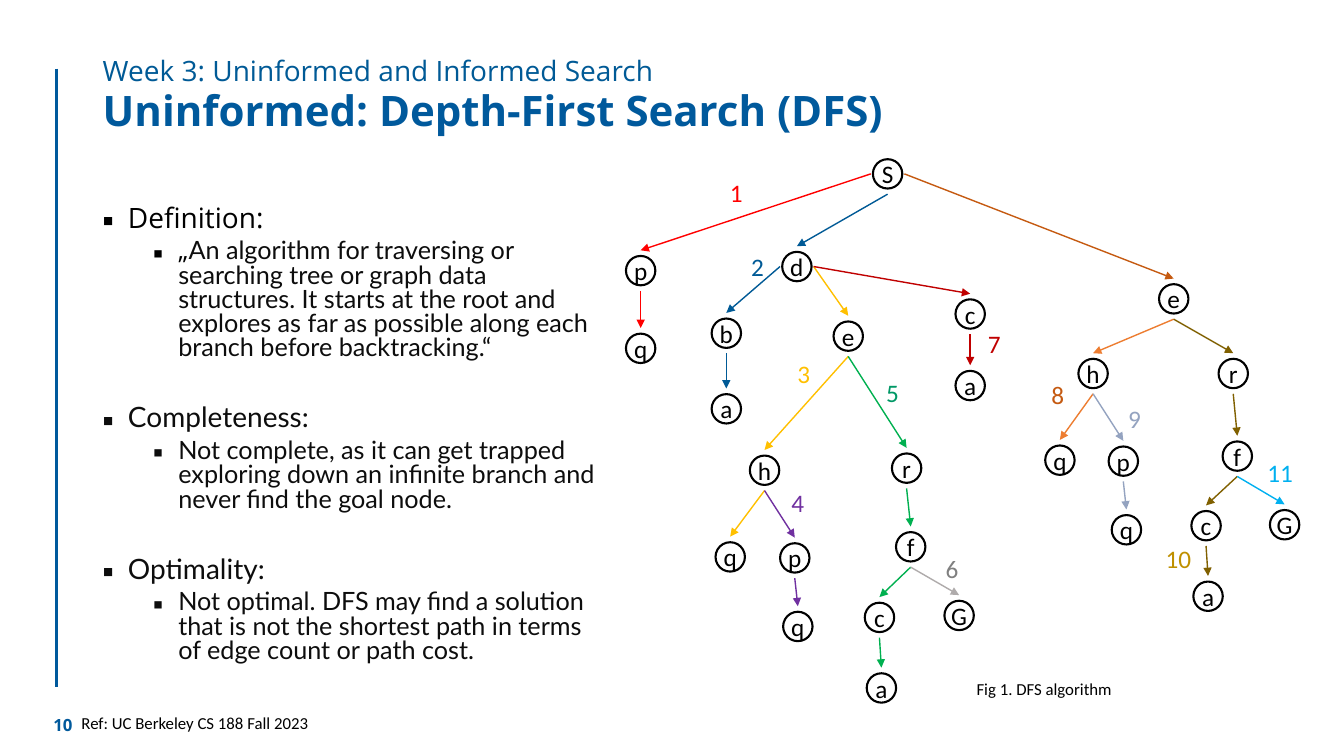
from lxml.etree import SubElement
from pptx import Presentation
from pptx.dml.color import RGBColor
from pptx.enum.shapes import MSO_CONNECTOR, MSO_SHAPE
from pptx.enum.text import MSO_ANCHOR, MSO_AUTO_SIZE, PP_ALIGN
from pptx.oxml.ns import qn
from pptx.util import Pt

COLOURS = {
    "heading": "00599C", "blue": "005A96", "black": "000000", "ink": "0D0D0D",
    "red": "FF0000", "rust": "C55A11", "yellow": "FFC000", "crimson": "C00000",
    "purple": "7030A0", "olive": "806000", "cyan": "00B0F0", "green": "00B050",
    "silver": "AFABAB", "orange": "ED7D31", "slate": "94A3C0", "teal": "009866",
    "grey": "808080", "gold": "BF9000",
}
TITLE = "Uninformed: Depth-First Search (DFS)"
WEEK = "Week 3: Uninformed and Informed Search"
SECTIONS = [
    ("Definition:", "Open Sans", "black", 10, [
        ("„", "Open Sans", "black"),
        ("An algorithm for traversing or searching tree or graph data structures. "
         "It starts at the root and explores as far as possible along each branch "
         "before backtracking.“", "Lato", "ink")]),
    ("Completeness:", "Lato", "ink", 32, [
        ("Not complete, as it can get trapped exploring down an infinite branch "
         "and never find the goal node.", "Lato", "ink")]),
    ("Optimality:", "Lato", "ink", 32, [
        ("Not optimal. DFS may find a solution that is not the shortest path "
         "in terms of edge count or path cost.", "Lato", "ink")]),
]
# The last letter of each key is the label; the rest is the route from the root.
NODES = {
    "S": (634, 124.2),
    "Sp": (457.6, 193.3), "Spq": (457.6, 248.8),
    "Sd": (569.2, 190.4), "Sdb": (518.8, 238), "Sdba": (518.8, 292),
    "Sde": (605.9, 240.1), "Sdeh": (546.1, 335.9), "Sdehq": (521.6, 397.8),
    "Sdehp": (567.7, 398.5), "Sdehpq": (569.9, 447.5),
    "Sder": (647.6, 334.4), "Sderf": (650.5, 390.6), "Sderfc": (628.2, 441),
    "Sderfca": (629.6, 491.4), "SderfG": (685.1, 439.6),
    "Sdc": (693, 224.3), "Sdca": (693, 275.4),
    "Se": (838.4, 213.5), "Seh": (780.8, 266.8), "Sehq": (757.1, 328.7),
    "Sehp": (802.4, 329.4), "Sehpq": (804.6, 378.4),
    "Ser": (880.9, 266.8), "Serf": (883.8, 325.8), "Serfc": (861.5, 375.5),
    "Serfca": (862.9, 425.9), "SerfG": (917.6, 374.8),
}
BRANCHES = {
    "red": ["Sp", "Spq"],
    "blue": ["Sd", "Sdb", "Sdba"],
    "yellow": ["Sde", "Sdeh", "Sdehq"],
    "purple": ["Sdehp", "Sdehpq"],
    "green": ["Sder", "Sderf", "Sderfc", "Sderfca"],
    "silver": ["SderfG"],
    "crimson": ["Sdc", "Sdca"],
    "rust": ["Se"],
    "orange": ["Seh", "Sehq"],
    "slate": ["Sehp", "Sehpq"],
    "olive": ["Ser", "Serf", "Serfc", "Serfca"],
    "cyan": ["SerfG"],
}
SIDE_STARTS = {"Sp": -1, "Sdb": -1, "Se": 1, "Sde": 1, "Sdc": 1}
STEPS = [
    ("1", 526, 137.5, "red"), ("2", 541.1, 190.8, "blue"),
    ("3", 574.2, 267.1, "yellow"), ("4", 569.9, 359.3, "purple"),
    ("5", 637.6, 280.8, "teal"), ("6", 680, 406.1, "grey"),
    ("7", 710.3, 245.5, "crimson"), ("8", 755.6, 282.2, "rust"),
    ("9", 810.4, 298.8, "slate"), ("10", 841.7, 398.9, "gold"),
    ("11", 914.4, 337.7, "cyan"),
]
CAPTIONS = [
    ("10", 31, 502.5, 25, 31, "Open Sans", "heading", True),
    ("Ref: UC Berkeley CS 188 Fall 2023", 51.1, 505.4, 181, 22, "Calibri", "black", False),
    ("Fig 1. DFS algorithm", 690.5, 481, 112.3, 22, "Calibri", "black", False),
]
CIRCLE = 21
REACH_DOWN, REACH_SIDE = 14.5, 12
STEP_WIDTH, STEP_HEIGHT = 33, 29


def colour(name):
    return RGBColor.from_string(COLOURS[name])


def add_span(para, text, size, font, ink, bold=False):
    span = para.add_run()
    span.text = text
    span.font.size = Pt(size)
    span.font.name = font
    span.font.bold = bold
    span.font.color.rgb = colour(ink)


def place(box, left, top, width, height):
    box.left, box.top, box.width, box.height = Pt(left), Pt(top), Pt(width), Pt(height)
    frame = box.text_frame
    frame.auto_size = MSO_AUTO_SIZE.NONE
    frame.word_wrap = True
    return frame


def set_indent(para, margin, hanging, bullet=None):
    properties = para._p.get_or_add_pPr()
    properties.set("marL", str(Pt(margin)))
    properties.set("indent", str(Pt(-hanging)))
    if bullet:
        SubElement(properties, qn("a:buFont")).set("typeface", "Noto Sans Symbols")
        SubElement(properties, qn("a:buChar")).set("char", bullet)
    else:
        SubElement(properties, qn("a:buNone"))


def add_line(page, start, end, ink, width, arrow=False):
    line = page.shapes.add_connector(MSO_CONNECTOR.STRAIGHT, *map(Pt, start + end))
    line.line.color.rgb = colour(ink)
    line.line.width = Pt(width)
    if arrow:
        SubElement(line.line._get_or_add_ln(), qn("a:tailEnd")).set("type", "triangle")
    SubElement(line._element.spPr, qn("a:effectLst"))


def add_headings(page):
    frame = place(page.shapes.title, 66.2, 52.6, 797.8, 56.2)
    frame.vertical_anchor = MSO_ANCHOR.MIDDLE
    para = frame.paragraphs[0]
    para.alignment = PP_ALIGN.LEFT
    para.line_spacing = 0.9
    add_span(para, TITLE, 30, "Open Sans", "heading", True)

    para = place(page.placeholders[1], 66.2, 37.4, 797.8, 39.6).paragraphs[0]
    para.line_spacing = 0.9
    para.space_before = Pt(10)
    set_indent(para, 0, 0)
    add_span(para, WEEK, 20, "Open Sans", "blue")


def add_sections(page):
    frame = place(page.placeholders[2], 66.2, 144, 369.4, 342.7)
    for number, (heading, font, ink, gap, spans) in enumerate(SECTIONS):
        para = frame.add_paragraph() if number else frame.paragraphs[0]
        para.line_spacing = 0.8
        para.space_before = Pt(gap)
        set_indent(para, 18, 18, "▪")
        add_span(para, heading, 20, font, ink)
        para = frame.add_paragraph()
        para.level = 1
        para.line_spacing = 0.8
        para.space_before = Pt(5)
        set_indent(para, 54, 18, "▪")
        for text, span_font, span_ink in spans:
            add_span(para, text, 18, span_font, span_ink)


def add_tree(page):
    for ink, routes in BRANCHES.items():
        for route in routes:
            x, y = NODES[route[:-1]]
            side = SIDE_STARTS.get(route, 0)
            start = (x + side * REACH_SIDE, y if side else y + REACH_DOWN)
            end = (NODES[route][0], NODES[route][1] - REACH_DOWN)
            add_line(page, start, end, ink, 1, arrow=True)
    for route, (x, y) in NODES.items():
        node = page.shapes.add_shape(MSO_SHAPE.OVAL, Pt(x - CIRCLE / 2), Pt(y - CIRCLE / 2),
                                     Pt(CIRCLE), Pt(CIRCLE))
        node.shadow.inherit = False
        node.fill.background()
        node.line.color.rgb = colour("black")
        node.line.width = Pt(1.5)
        frame = node.text_frame
        frame.word_wrap = False
        frame.margin_left = frame.margin_right = frame.margin_top = frame.margin_bottom = 0
        frame.vertical_anchor = MSO_ANCHOR.MIDDLE
        frame.paragraphs[0].alignment = PP_ALIGN.CENTER
        add_span(frame.paragraphs[0], route[-1], 18, "Calibri", "black")
    for text, x, y, ink in STEPS:
        box = page.shapes.add_textbox(0, 0, 0, 0)
        frame = place(box, x - STEP_WIDTH / 2, y - STEP_HEIGHT / 2, STEP_WIDTH, STEP_HEIGHT)
        frame.paragraphs[0].alignment = PP_ALIGN.CENTER
        add_span(frame.paragraphs[0], text, 18, "Calibri", ink)


def add_captions(page):
    for text, left, top, width, height, font, ink, bold in CAPTIONS:
        frame = place(page.shapes.add_textbox(0, 0, 0, 0), left, top, width, height)
        frame.word_wrap = False
        frame.vertical_anchor = MSO_ANCHOR.MIDDLE
        add_span(frame.paragraphs[0], text, 12, font, ink, bold)


def main():
    deck = Presentation()
    deck.slide_width, deck.slide_height = Pt(960), Pt(540)
    page = deck.slides.add_slide(deck.slide_layouts[3])
    add_line(page, (40.3, 49), (40.3, 491), "heading", 2.25)
    add_headings(page)
    add_sections(page)
    add_tree(page)
    add_captions(page)
    deck.save("out.pptx")


if __name__ == "__main__":
    main()
